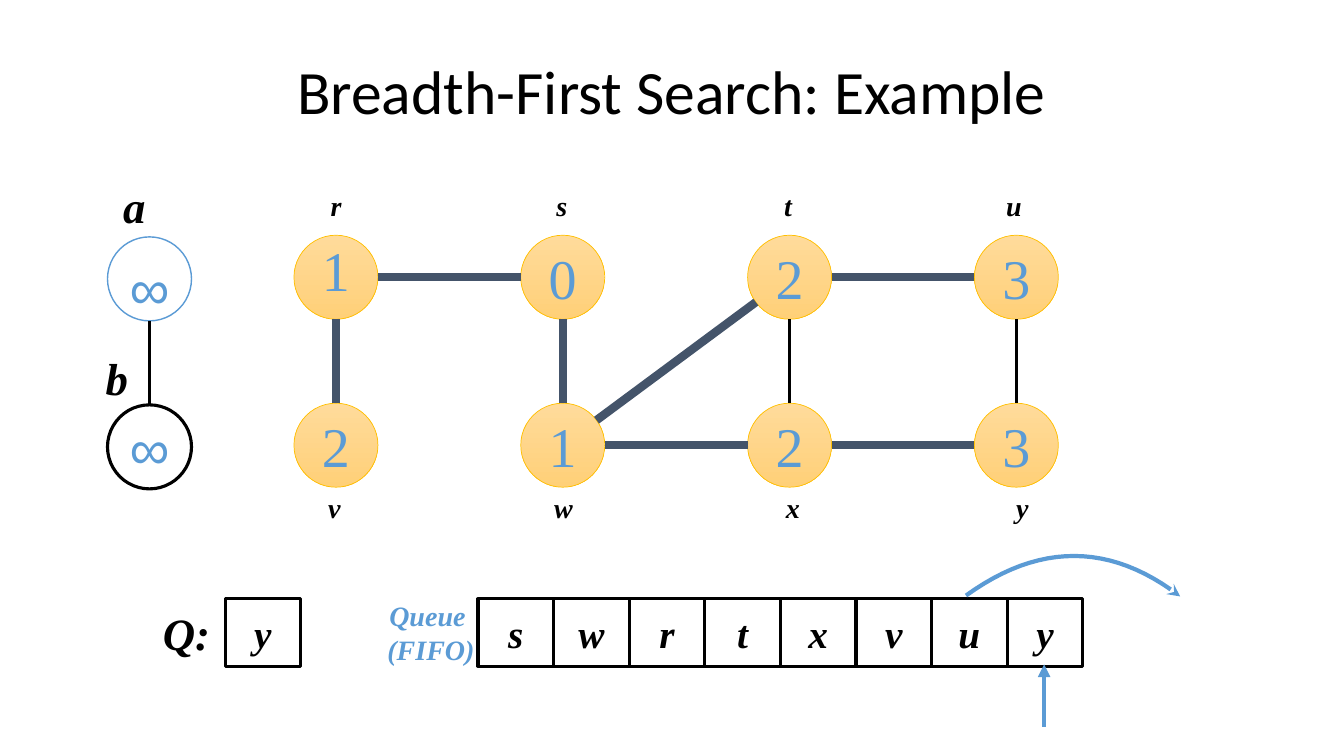
from math import hypot

from pptx import Presentation
from pptx.dml.color import RGBColor as RGB
from pptx.enum.shapes import MSO_CONNECTOR as Link, MSO_SHAPE as Form
from pptx.enum.text import MSO_ANCHOR as Anchor, PP_ALIGN as Align
from pptx.oxml.ns import qn
from pptx.util import Inches, Pt
from lxml.etree import SubElement

BLACK = RGB(0x00, 0x00, 0x00)
WHITE = RGB(0xFF, 0xFF, 0xFF)
BLUE = RGB(0x5B, 0x9B, 0xD5)
SLATE = RGB(0x44, 0x54, 0x6A)
GOLD = RGB(0xFF, 0xC0, 0x00)
CREAM = RGB(0xFF, 0xDB, 0x9B)
AMBER = RGB(0xFF, 0xD0, 0x78)

SERIF = "Times New Roman"
TITLE = {"name": "Calibri", "size": Pt(44)}
COUNT = {"name": SERIF, "size": Pt(40)}
ENDLESS = {"name": "Arial", "size": Pt(40)}
SMALL = {"name": SERIF, "size": Pt(20), "bold": True, "italic": True}
ITEM = {**SMALL, "size": Pt(28)}
LARGE = {**SMALL, "size": Pt(32)}

COLS, ROWS = 16, 9
GAP_X, GAP_Y = 2.7, 2    # between graph nodes
CELL_W, CELL_H = 0.9, 0.8
QUEUE_Y = 7.53


class Board:
    """Draws on one slide; lengths are columns and rows of a 16 by 9 grid."""

    def __init__(self, deck):
        self.col = deck.slide_width / COLS
        self.row = deck.slide_height / ROWS
        self.slide = deck.slides.add_slide(deck.slide_layouts[5])
        self.shapes = self.slide.shapes

    def spot(self, x, y):
        return round(x * self.col), round(y * self.row)

    def frame(self, x, y, wide, high):
        """Box centred on x, y."""
        return (*self.spot(x - wide / 2, y - high / 2), *self.spot(wide, high))

    def letter(self, shape, text, font, color, lead=None, pad=0, wrap=False):
        frame = shape.text_frame
        form = {"word_wrap": wrap, "vertical_anchor": Anchor.MIDDLE,
                "margin_left": pad, "margin_right": pad,
                "margin_top": pad, "margin_bottom": pad, "text": text}
        for key, value in form.items():
            setattr(frame, key, value)
        for para in frame.paragraphs:
            para.alignment = Align.CENTER
            para.line_spacing = lead
            for run in para.runs:
                for key, value in font.items():
                    setattr(run.font, key, value)
                run.font.color.rgb = color

    def title(self, text):
        head = self.shapes.title
        head.left, head.top, head.width, head.height = self.frame(8, 1.12, 13.8, 1.28)
        self.letter(head, text, TITLE, BLACK, 0.9, Inches(0.05), True)

    def label(self, x, y, text, font, color=BLACK, wide=0.6, high=0.6):
        box = self.shapes.add_textbox(*self.frame(x, y, wide, high))
        self.letter(box, text, font, color)

    def outline(self, shape, color, width):
        shape.shadow.inherit = False
        shape.line.color.rgb = color
        shape.line.width = Pt(width)

    def node(self, x, y, text, font=COUNT, line=(GOLD, 0.5), lead=None):
        disc = self.shapes.add_shape(Form.OVAL, *self.frame(x, y, 1, 1))
        self.outline(disc, *line)
        self.letter(disc, text, font, BLUE, lead)
        return disc.fill

    def cell(self, x, text):
        box = self.shapes.add_shape(
            Form.RECTANGLE, *self.frame(x, QUEUE_Y, CELL_W, CELL_H))
        box.fill.background()
        self.outline(box, BLACK, 2.25)
        self.letter(box, text, ITEM, BLACK)

    def tip(self, shape, kind):
        SubElement(shape.line._get_or_add_ln(), qn("a:tailEnd"), type=kind)

    def line(self, start, end, color, width):
        link = self.shapes.add_connector(
            Link.STRAIGHT, *self.spot(*start), *self.spot(*end))
        link.line.color.rgb = color
        link.line.width = Pt(width)
        SubElement(link._element.spPr, qn("a:effectLst"))
        return link

    def edge(self, start, end, color=SLATE, width=6):
        """Line between two node centres, cut at the rims."""
        dx, dy = end[0] - start[0], end[1] - start[1]
        cut = 0.5 / hypot(dx, dy)
        self.line((start[0] + dx * cut, start[1] + dy * cut),
                  (end[0] - dx * cut, end[1] - dy * cut), color, width)

    def curve(self, knots, steps=24):
        """Arrow along the cubic curve of four control points."""
        trail = []
        for step in range(steps + 1):
            t = step / steps
            mix = ((1 - t) ** 3, 3 * t * (1 - t) ** 2, 3 * t * t * (1 - t), t ** 3)
            trail.append(self.spot(*(sum(m * k[axis] for m, k in zip(mix, knots))
                                     for axis in (0, 1))))
        pen = self.shapes.build_freeform(*trail[0])
        pen.add_line_segments(trail[1:], close=False)
        arc = pen.convert_to_shape()
        arc.fill.background()
        self.outline(arc, BLUE, 3)
        self.tip(arc, "stealth")


def graph(board):
    spots = {}
    rows = (("rstu", "1023", 4, 2.69, 2.44), ("vwxy", "2123", 3.98, 2.73, 6.04))
    for row, (names, counts, left, step, high) in enumerate(rows):
        for col, (name, count) in enumerate(zip(names, counts)):
            spots[name] = (4 + GAP_X * col, 3.3 + GAP_Y * row)
            fill = board.node(*spots[name], count, lead=0.7 if name == "r" else None)
            fill.gradient()
            fill.gradient_angle = 270
            for stop, color in zip(fill.gradient_stops, (CREAM, AMBER)):
                stop.color.rgb = color
            board.label(left + step * col, high, name, SMALL)
    for start, end in ("rv", "rs", "sw", "wt", "wx", "tu", "xy"):
        board.edge(spots[start], spots[end])
    for start, end in ("tx", "uy"):
        board.edge(spots[start], spots[end], BLACK, 2.25)


def pair(board):
    """The two nodes that the search never reaches."""
    top, low = (1.78, 3.32), (1.78, 5.32)
    fill = board.node(*top, "", line=(BLUE, 1))
    fill.solid()
    fill.fore_color.rgb = WHITE
    board.node(*low, "∞", ENDLESS, (BLACK, 2.25)).background()
    board.label(1.78, 3.42, "∞", ENDLESS, BLUE)
    board.edge(top, low, BLACK, 2.25)
    board.label(1.6, 2.45, "a", LARGE)
    board.label(1.39, 4.5, "b", LARGE)


def queue(board):
    board.label(2.22, QUEUE_Y, "Q:", LARGE)
    board.cell(3.13, "y")
    board.label(5.13, QUEUE_Y, "Queue \n(FIFO)", SMALL, BLUE, 1.21, 0.88)
    for place, name in enumerate("swrtxvuy"):
        board.cell(6.14 + CELL_W * place, name)
    board.tip(board.line((12.43, 8.65), (12.43, 7.91), BLUE, 3), "triangle")
    board.curve(((11.5, 7.09), (12.37, 6.46), (13.22, 6.46), (14.05, 7.1)))


def main():
    deck = Presentation()
    deck.slide_width, deck.slide_height = Inches(13.33), Inches(7.5)
    board = Board(deck)
    board.title("Breadth-First Search: Example")
    graph(board)
    pair(board)
    queue(board)
    deck.save("out.pptx")


if __name__ == "__main__":
    main()
